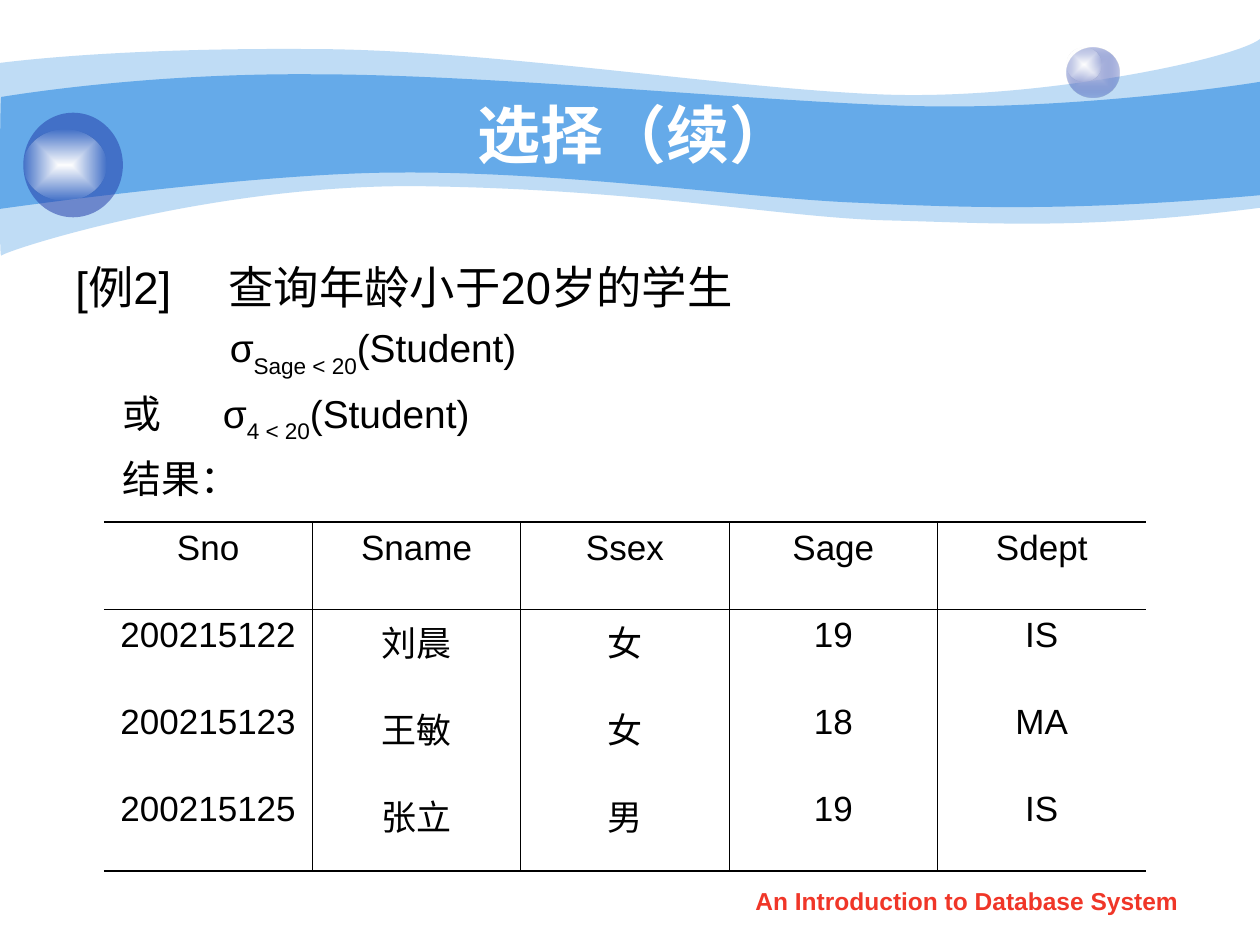
from lxml import etree
from pptx import Presentation
from pptx import util as u
from pptx.dml.color import RGBColor
from pptx.enum import shapes, text
from pptx.oxml.ns import qn

COLS, ROWS = 100, 75
FONT = "Arial"
THIN, THICK = 0.45, 1.08
HEADER = ["Sno", "Sname", "Ssex", "Sage", "Sdept"]
STUDENTS = [
    ["200215122", "刘晨", "女", "19", "IS"],
    ["200215123", "王敏", "女", "18", "MA"],
    ["200215125", "张立", "男", "19", "IS"],
]
LIGHT_WAVE = [
    (0, 5), (2.4, 4.7, 10.7, 3.8, 24.7, 3.9), (38.6, 3.9, 57.5, 7, 69.9, 7.5),
    (82.2, 8, 98, 4.7, 100, 3.1), (100, 16.5), (85.8, 18.3, 78.7, 17.7, 70.5, 17.5),
    (62.2, 17.3, 51.5, 15.1, 34.3, 14.8), (17.2, 14.4, 0.4, 19.9, 0.1, 20.3),
    (-0.1, 20.8, 0, 7.5, 0, 5),
]
DARK_WAVE = [
    (0.1, 7.7), (0.2, 7.7, 11, 5.8, 24.8, 5.9), (38.6, 5.9, 59.5, 8, 71.8, 8.4),
    (84.1, 8.8, 97.6, 6.9, 100, 6.5), (100, 15.5), (85.3, 16.8, 76.5, 16.5, 68.2, 16.1),
    (59.9, 15.8, 44.7, 13.6, 31.7, 13.7), (20.3, 13.7, -0.2, 16.6, -0.1, 16.6),
    (0, 16.6, 0, 7.7, 0.1, 7.7),
]


def grid(n):
    """Turn a number of grid units, 100 to the slide's width, into a length."""
    return u.Inches(n / 10)


def color(value):
    """Turn a hex string into a colour."""
    return RGBColor.from_string(value)


def finish(sp, alphas):
    """Set the opacity of each fill colour and take off the outline and shadow."""
    for clr, alpha in zip(sp._element.spPr.iter(qn("a:srgbClr")), alphas):
        if alpha < 100:
            etree.SubElement(clr, qn("a:alpha"), val=str(alpha * 1000))
    sp.line.fill.background()
    sp.shadow.inherit = False


def add_wave(s, segments, fill, alpha=100):
    """Draw a closed outline from points and cubic curves."""
    start, rest = segments[0], segments[1:]
    points = [seg[i:i + 2] for seg in rest for i in range(0, len(seg), 2)]
    builder = s.shapes.build_freeform(*map(grid, start))
    builder.add_line_segments([tuple(map(grid, pt)) for pt in points], close=True)
    sp = builder.convert_to_shape()
    lines = iter(list(sp._element.spPr.iter(qn("a:lnTo"))))
    for seg in rest:
        first, *others = [next(lines) for _ in range(len(seg) // 2)]
        if others:
            first.tag = qn("a:cubicBezTo")
            for line in others:
                first.append(line[0])
                line.getparent().remove(line)
    sp.fill.solid()
    sp.fill.fore_color.rgb = color(fill)
    finish(sp, [alpha])


def add_ball(s, box, *stops):
    """Draw an ellipse with one flat colour or a two-stop centred gradient."""
    sp = s.shapes.add_shape(shapes.MSO_SHAPE.OVAL, *map(grid, box))
    values, alphas = zip(*stops)
    if len(stops) == 1:
        sp.fill.solid()
        sp.fill.fore_color.rgb = color(values[0])
    else:
        sp.fill.gradient()
        for stop, value in zip(sp.fill.gradient_stops, values):
            stop.color.rgb = color(value)
        grad = sp._element.spPr.find(qn("a:gradFill"))
        centre = etree.Element(qn("a:path"))
        centre.set("path", "rect")
        etree.SubElement(centre, qn("a:fillToRect"), dict.fromkeys("ltrb", "50000"))
        grad.replace(grad.find(qn("a:lin")), centre)
    finish(sp, alphas)


def format_run(r, size, value="000000", bold=False):
    """Set the font of a run."""
    r.font.name, r.font.size, r.font.bold = FONT, u.Pt(size), bold
    r.font.color.rgb = color(value)


def add_label(s, box, label, size, value, anchor=text.MSO_ANCHOR.TOP):
    """Add one bold centred line of text."""
    tf = s.shapes.add_textbox(*map(grid, box)).text_frame
    tf.word_wrap = True
    tf.vertical_anchor = anchor
    tf.text = label
    p = tf.paragraphs[0]
    p.alignment = text.PP_ALIGN.CENTER
    format_run(p.runs[0], size, value, True)


def add_body(s, box, lines):
    """Add lines given as size, tab stops and parts; every second part is a subscript."""
    tf = s.shapes.add_textbox(*map(grid, box)).text_frame
    tf.word_wrap = True
    for i, (size, stops, parts) in enumerate(lines):
        p = tf.add_paragraph() if i else tf.paragraphs[0]
        p.alignment = text.PP_ALIGN.JUSTIFY
        p.space_before = u.Pt(6 if i else 0)
        tabs = etree.SubElement(p._p.get_or_add_pPr(), qn("a:tabLst"))
        for stop in stops:
            etree.SubElement(tabs, qn("a:tab"), pos=str(grid(stop)), algn="l")
        for k, part in enumerate(parts):
            r = p.add_run()
            r.text = part
            format_run(r, size)
            if k % 2:
                r._r.get_or_add_rPr().set("baseline", "-30000")


def set_border(cell, side, width):
    """Draw one side of a cell, or clear it when the width is 0."""
    ln = etree.SubElement(cell._tc.get_or_add_tcPr(), qn("a:ln" + side), w=str(u.Pt(width)))
    if width:
        fill = etree.SubElement(ln, qn("a:solidFill"))
        etree.SubElement(fill, qn("a:srgbClr"), val="000000")
    else:
        etree.SubElement(ln, qn("a:noFill"))


def add_grid_table(s, box, rows):
    """Add a plain table ruled between columns and around the header row."""
    n_rows, n_cols = len(rows), len(rows[0])
    table = s.shapes.add_table(n_rows, n_cols, *map(grid, box)).table
    table.first_row = table.horz_banding = False
    rules = [THICK, THIN] + [0] * (n_rows - 2) + [THICK]
    for i, row in enumerate(rows):
        for j, value in enumerate(row):
            cell = table.cell(i, j)
            cell.text = value
            p = cell.text_frame.paragraphs[0]
            p.alignment = text.PP_ALIGN.CENTER
            format_run(p.runs[0], 20)
            set_border(cell, "L", THIN if j else 0)
            set_border(cell, "R", THIN if j < n_cols - 1 else 0)
            set_border(cell, "T", rules[i])
            set_border(cell, "B", rules[i + 1])
            cell.fill.background()


def main():
    """Build the slide and save it."""
    prs = Presentation()
    prs.slide_width, prs.slide_height = grid(COLS), grid(ROWS)
    s = prs.slides.add_slide(prs.slide_layouts[6])
    add_wave(s, LIGHT_WAVE, "65AAE9", 41)
    add_wave(s, DARK_WAVE, "65AAE9")
    shine = [("FFFFFF", 100), ("FEFEFE", 0)]
    add_ball(s, (84.65, 3.75, 4.2, 4), ("C6CCE8", 100), ("233DA9", 31))
    add_ball(s, (84.65, 3.75, 2.8, 2.7), *shine)
    add_ball(s, (1.85, 8.95, 7.9, 8.3), ("233DA9", 53))
    add_ball(s, (1.85, 10.3, 6.6, 5.6), *shine)
    add_label(s, (10, 7.5, 80.8, 6.2), "选择（续）", 36, "FFFFFF", text.MSO_ANCHOR.MIDDLE)
    add_body(s, (5, 20.05, 89.9, 20.6), [
        (25.9, [12.15], ["[例2]\t查询年龄小于20岁的学生"]),
        (22.2, [12.25], ["\tσ", "Sage < 20", "(Student)"]),
        (22.2, [3.75, 11.7], ["\t或\tσ", "4 < 20", "(Student)"]),
        (22.2, [3.75], ["\t结果："]),
    ])
    add_grid_table(s, (8.25, 41.45, 82.7, 27.7), [HEADER] + STUDENTS)
    add_label(s, (57.05, 69.8, 39.4, 3.5), "An Introduction to Database System", 14, "F03628")
    prs.save("out.pptx")


if __name__ == "__main__":
    main()
